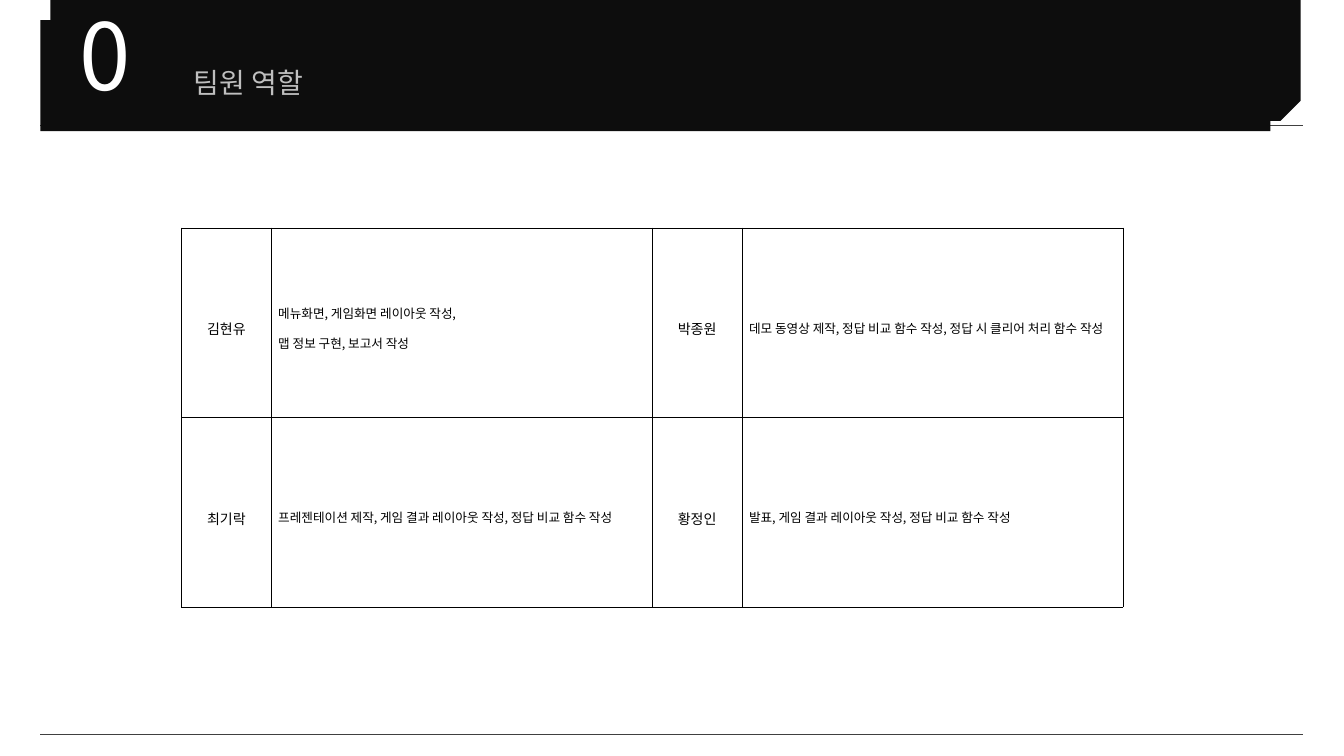
from math import asin, cos, degrees, radians, sin

from lxml import etree
from pptx import Presentation
from pptx.dml.color import RGBColor
from pptx.enum.shapes import MSO_CONNECTOR
from pptx.enum.text import MSO_ANCHOR, MSO_AUTO_SIZE, PP_ALIGN
from pptx.oxml.ns import qn
from pptx.util import Inches, Pt

STRAIGHT = MSO_CONNECTOR.STRAIGHT
TOP, MIDDLE = MSO_ANCHOR.TOP, MSO_ANCHOR.MIDDLE
NO_AUTOSIZE = MSO_AUTO_SIZE.NONE
LEFT, CENTER, JUSTIFY = PP_ALIGN.LEFT, PP_ALIGN.CENTER, PP_ALIGN.JUSTIFY

GRID = Inches(0.1)
LEFT_EDGE, RIGHT_EDGE = 4, 129.2
BAND_BOTTOM, CORNER = 12.7, 4.9
ROLES = [
    [("김현유", "메뉴화면, 게임화면 레이아웃 작성,\n맵 정보 구현, 보고서 작성"),
     ("박종원", "데모 동영상 제작, 정답 비교 함수 작성, 정답 시 클리어 처리 함수 작성")],
    [("최기락", "프레젠테이션 제작, 게임 결과 레이아웃 작성, 정답 비교 함수 작성"),
     ("황정인", "발표, 게임 결과 레이아웃 작성, 정답 비교 함수 작성")],
]


def grid(cells):
    return round(cells * GRID)


def color(hex_text):
    return RGBColor.from_string(hex_text)


def arc(center_x, center_y, start, end, steps=24):
    angles = [radians(start + (end - start) * step / steps) for step in range(steps + 1)]
    return [(center_x + CORNER * cos(a), center_y + CORNER * sin(a)) for a in angles]


class RoleSlide:
    font = "Noto Sans CJK KR"
    ink = "000000"
    rule = "404040"

    def __init__(self, deck):
        self.page = deck.slides.add_slide(deck.slide_layouts[5])
        self.shapes = self.page.shapes

    def set_text(self, frame, text, size, hex_text=ink, align=LEFT, spacing=0.9):
        frame.word_wrap = True
        for index, line in enumerate(text.split("\n")):
            para = frame.add_paragraph() if index else frame.paragraphs[0]
            para.alignment, para.line_spacing = align, spacing
            span = para.add_run()
            span.text = line
            span.font.size, span.font.name = Pt(size), self.font
            span.font.color.rgb = color(hex_text)
            properties = span.font._element
            etree.SubElement(properties, qn("a:ea"), typeface=self.font)

    def line(self, row):
        rule = self.shapes.add_connector(
            STRAIGHT, grid(LEFT_EDGE), grid(row), grid(RIGHT_EDGE), grid(row))
        rule.line.color.rgb = color(self.rule)
        rule.line.width = Pt(0.5)
        etree.SubElement(rule._element.spPr, qn("a:effectLst"))

    def band(self, hex_text):
        center_y = 3.7
        cut = degrees(asin(center_y / CORNER))
        points = arc(LEFT_EDGE + CORNER, center_y, 180, 180 + cut)
        points += [(RIGHT_EDGE, 0)]
        points += arc(RIGHT_EDGE - CORNER, BAND_BOTTOM - CORNER, 0, 90)
        points += [(LEFT_EDGE, BAND_BOTTOM)]
        builder = self.shapes.build_freeform(*points[0], scale=GRID)
        builder.add_line_segments(points[1:], close=True)
        band = builder.convert_to_shape()
        band.shadow.inherit = False
        band.fill.solid()
        band.fill.fore_color.rgb = color(hex_text)
        band.line.fill.background()

    def text(self, text, left, top, width, height, **style):
        box = self.shapes.add_textbox(*map(grid, (left, top, width, height)))
        self.set_text(box.text_frame, text, **style)

    def title(self, text, left, top, width, height, **style):
        title = self.shapes.title
        title.left, title.top, title.width, title.height = map(grid, (left, top, width, height))
        title.text_frame.vertical_anchor = TOP
        title.text_frame.auto_size = NO_AUTOSIZE
        self.set_text(title.text_frame, text, **style)
        self.shapes._spTree.append(title._element)

    def border(self, cell):
        properties = cell._tc.get_or_add_tcPr()
        for side in ("lnL", "lnR", "lnT", "lnB"):
            edge = etree.SubElement(properties, qn(f"a:{side}"), w=str(Pt(0.28)))
            fill = etree.SubElement(edge, qn("a:solidFill"))
            etree.SubElement(fill, qn("a:srgbClr"), val=self.ink)

    def cell(self, cell, text, **style):
        self.border(cell)
        cell.fill.background()
        cell.vertical_anchor = MIDDLE
        cell.margin_left = cell.margin_right = grid(0.7)
        cell.margin_top = cell.margin_bottom = grid(0.2)
        self.set_text(cell.text_frame, text, spacing=1.6, **style)

    def table(self, roles, left, top, widths, row_height):
        columns = widths * len(roles[0])
        frame = self.shapes.add_table(
            len(roles), len(columns), grid(left), grid(top),
            grid(sum(columns)), grid(row_height * len(roles)))
        table = frame.table
        table.first_row = table.horz_banding = False
        for column, width in zip(table.columns, columns):
            column.width = grid(width)
        for row, members in zip(table.rows, roles):
            row.height = grid(row_height)
            for index, (name, duties) in enumerate(members):
                self.cell(row.cells[2 * index], name, size=10, align=CENTER)
                self.cell(row.cells[2 * index + 1], duties, size=9, align=JUSTIFY)


def main():
    deck = Presentation()
    deck.slide_width, deck.slide_height = Inches(13.33), Inches(7.5)
    slide = RoleSlide(deck)
    for row in (12.4, 72.9):
        slide.line(row)
    slide.band("0D0D0D")
    slide.text("0", 6.9, 0.6, 11.1, 12.1, size=66, hex_text="FFFFFF")
    slide.title("팀원 역할", 18.2, 6.4, 13.9, 4.4, size=20, hex_text="BFBFBF")
    slide.table(ROLES, 18, 22.6, [8.9, 37.8], 18.8)
    deck.save("out.pptx")


if __name__ == "__main__":
    main()
